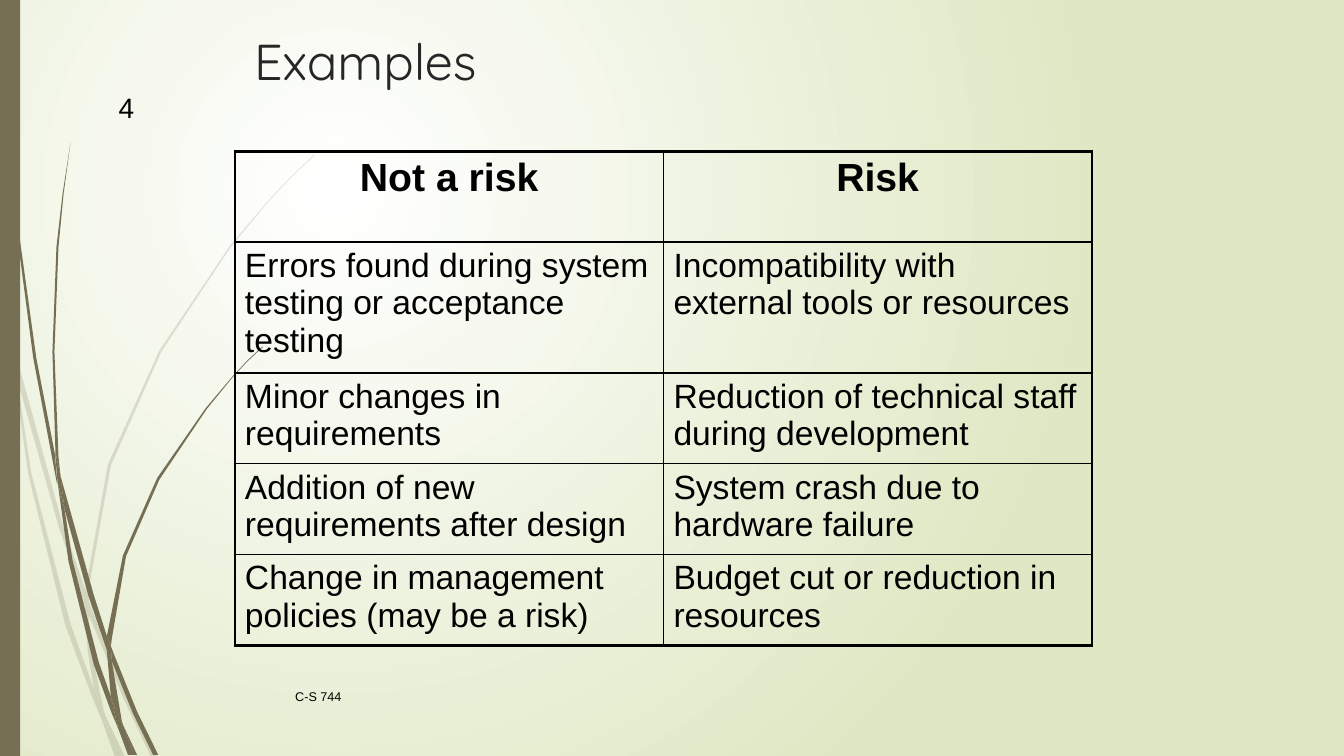
import lxml.etree
import pptx
import pptx.dml.color
import pptx.enum.shapes
import pptx.enum.text
import pptx.oxml
import pptx.oxml.ns
import pptx.util

RGBColor = pptx.dml.color.RGBColor
Align = pptx.enum.text.PP_ALIGN
Anchor = pptx.enum.text.MSO_ANCHOR
qn = pptx.oxml.ns.qn

PX = 9144  # EMU in one px, 100 px to the inch
BLACK = RGBColor(0x00, 0x00, 0x00)
CHARCOAL = RGBColor(0x26, 0x26, 0x26)
OLIVE = RGBColor(0x76, 0x6F, 0x54)
WHITE = RGBColor(0xFF, 0xFF, 0xFF)
SAGE = RGBColor(0xDF, 0xE8, 0xC4)
THIN, THICK = 1, 2.25

# Outlines of the pieces of each tuft of grass, in px.
PALE_GRASS = [
    [(11, 350), (9, 322), (0, 282), (0, 299), (10, 344)],
    [(58, 522), (84, 599), (85, 586), (62, 520), (14, 345), (17, 376)],
    [(92, 607), (88, 596), (88, 610), (123, 694), (150, 751), (155, 751), (127, 692)],
    [(119, 751), (124, 751), (105, 711)],
    [(93, 683), (70, 619), (31, 469), (17, 376), (11, 350), (28, 470), (65, 621),
     (92, 693), (101, 714), (99, 707)],
    [(84, 599), (87, 646), (93, 683), (96, 692), (105, 711), (103, 706), (91, 646),
     (88, 610), (88, 608)],
    [(88, 584), (110, 462), (160, 349), (229, 245), (268, 198), (290, 175), (312, 154),
     (312, 153), (289, 175), (268, 197), (228, 244), (158, 348), (107, 461), (85, 584),
     (85, 586), (88, 596)],
    [(101, 714), (114, 751), (119, 751)],
    [(88, 608), (88, 610), (88, 596), (85, 586), (84, 599)],
    [(96, 692), (93, 683), (99, 707), (101, 714), (119, 751), (105, 711)],
]
DARK_GRASS = [
    [(7, 110), (17, 233), (33, 355), (56, 477), (57, 481), (55, 457), (55, 453),
     (36, 355), (19, 232), (8, 109), (5, 48), (4, 0), (3, 0), (4, 48)],
    [(88, 592), (106, 645), (106, 633), (106, 631), (93, 590), (60, 472), (64, 505)],
    [(113, 649), (110, 641), (111, 656), (132, 708), (152, 749), (157, 749), (136, 706)],
    [(110, 691), (98, 657), (72, 556), (64, 505), (57, 477), (68, 557), (93, 659),
     (111, 708), (117, 722), (116, 717)],
    [(60, 472), (58, 453), (54, 349), (58, 245), (63, 193), (70, 141), (62, 193),
     (56, 245), (52, 349), (55, 449)],
    [(133, 749), (136, 749), (122, 719)],
    [(57, 477), (64, 505), (60, 472), (55, 449), (55, 453)],
    [(111, 633), (125, 552), (158, 476), (205, 406), (231, 374), (245, 359), (261, 344),
     (260, 344), (245, 358), (231, 373), (204, 405), (156, 474), (122, 551), (106, 631),
     (110, 641)],
    [(117, 722), (127, 749), (131, 749)],
    [(106, 645), (110, 691), (116, 706), (122, 719), (121, 716), (111, 656), (109, 651)],
    [(106, 645), (109, 651), (111, 656), (110, 641), (106, 631), (106, 633)],
    [(116, 706), (110, 691), (116, 717), (117, 722), (130, 749), (133, 749), (122, 719)],
]
RISKS = [
    ("Not a risk", "Risk"),
    ("Errors found during system testing or acceptance testing",
     "Incompatibility with external tools or resources"),
    ("Minor changes in requirements",
     "Reduction of technical staff during development"),
    ("Addition of new requirements after design",
     "System crash due to hardware failure"),
    ("Change in management policies (may be a risk)",
     "Budget cut or reduction in resources"),
]


class SlideBuilder:
    def __init__(self, deck, font):
        self.font = font
        self.page = deck.slides.add_slide(deck.slide_layouts[5])

    def place(self, left, top, width, height):
        return [length * PX for length in (left, top, width, height)]

    def style(self, para, size, align=Align.LEFT, color=BLACK, font=None, bold=False):
        para.alignment = align
        para.font.name = font or self.font
        para.font.size = pptx.util.Pt(size)
        para.font.bold = bold
        para.font.color.rgb = color

    def background(self, inner, outer):
        """Fill the page with a radial gradient."""
        fill = self.page.background.fill
        fill.gradient()
        for stop, color, position in zip(fill.gradient_stops, (inner, outer), (0, 1)):
            stop.color.rgb = color
            stop.position = position
        linear = self.page.background._cSld.find(".//" + qn("a:lin"))
        radial = lxml.etree.Element(qn("a:path"), {"path": "circle"})
        lxml.etree.SubElement(radial, qn("a:fillToRect"),
                              {"l": "50000", "t": "50000", "r": "100000", "b": "100000"})
        linear.getparent().replace(linear, radial)

    def paint(self, shape, color, opacity=100):
        shape.shadow.inherit = False
        shape.fill.solid()
        shape.fill.fore_color.rgb = color
        shape.line.fill.background()
        if opacity < 100:
            tint = shape._element.spPr.find(".//" + qn("a:srgbClr"))
            lxml.etree.SubElement(tint, qn("a:alpha"), {"val": str(opacity * 1000)})

    def grass(self, outlines, color, opacity=100):
        tuft = self.page.shapes.add_group_shape()
        for start, *others in outlines:
            builder = tuft.shapes.build_freeform(*start, scale=PX)
            builder.add_line_segments(others, close=True)
            self.paint(builder.convert_to_shape(), color, opacity)

    def bar(self, box, color):
        rectangle = pptx.enum.shapes.MSO_SHAPE.RECTANGLE
        self.paint(self.page.shapes.add_shape(rectangle, *self.place(*box)), color)

    def title(self, text, box, size, color, font):
        title = self.page.shapes.title
        title.left, title.top, title.width, title.height = self.place(*box)
        title.text_frame.text = text
        title.text_frame.vertical_anchor = Anchor.TOP
        self.style(title.text_frame.paragraphs[0], size, color=color, font=font)

    def label(self, text, box, size, align=Align.LEFT):
        frame = self.page.shapes.add_textbox(*self.place(*box)).text_frame
        frame.word_wrap = True
        frame.vertical_anchor = Anchor.MIDDLE
        frame.text = text
        self.style(frame.paragraphs[0], size, align)

    def border(self, cell, sides):
        """Draw the left, right, top and bottom edges, widths in points."""
        properties = cell._tc.get_or_add_tcPr()
        for index, (side, width) in enumerate(zip("LRTB", sides)):
            edge = lxml.etree.Element(qn("a:ln" + side),
                                      {"w": str(pptx.util.Pt(width))})
            fill = lxml.etree.SubElement(edge, qn("a:solidFill"))
            lxml.etree.SubElement(fill, qn("a:srgbClr"), {"val": str(BLACK)})
            properties.insert(index, edge)

    def table(self, rows, box, heights):
        last_row, last_column = len(rows) - 1, len(rows[0]) - 1
        table = self.page.shapes.add_table(
            len(rows), len(rows[0]), *self.place(*box)).table
        table.first_row = table.horz_banding = False
        for r, (texts, height) in enumerate(zip(rows, heights)):
            table.rows[r].height = height * PX
            for c, text in enumerate(texts):
                cell = table.cell(r, c)
                cell.text = text
                cell.fill.background()
                outer = (c == 0, c == last_column, r == 0, r == last_row)
                self.border(cell, [THICK if edge else THIN for edge in outer])
                para = cell.text_frame.paragraphs[0]
                if r == 0:
                    self.style(para, 28, Align.CENTER, bold=True)
                else:
                    self.style(para, 24)


def main():
    deck = pptx.Presentation()
    deck.slide_width, deck.slide_height = 1333 * PX, 750 * PX
    slide = SlideBuilder(deck, "Arial")
    slide.background(WHITE, SAGE)
    slide.grass(PALE_GRASS, OLIVE, opacity=20)
    slide.grass(DARK_GRASS, OLIVE)
    slide.bar((0, 0, 20, 750), OLIVE)
    slide.label("C-S 744", (283, 671, 833, 40), 9)
    slide.label("4", (58, 86, 85, 40), 20, Align.RIGHT)
    slide.title("Examples", (242, 25, 850, 125), 36, CHARCOAL, "Quicksand")
    slide.table(RISKS, (233, 150, 850, 490), (90, 130, 90, 90, 90))
    deck.save("out.pptx")


if __name__ == "__main__":
    main()
